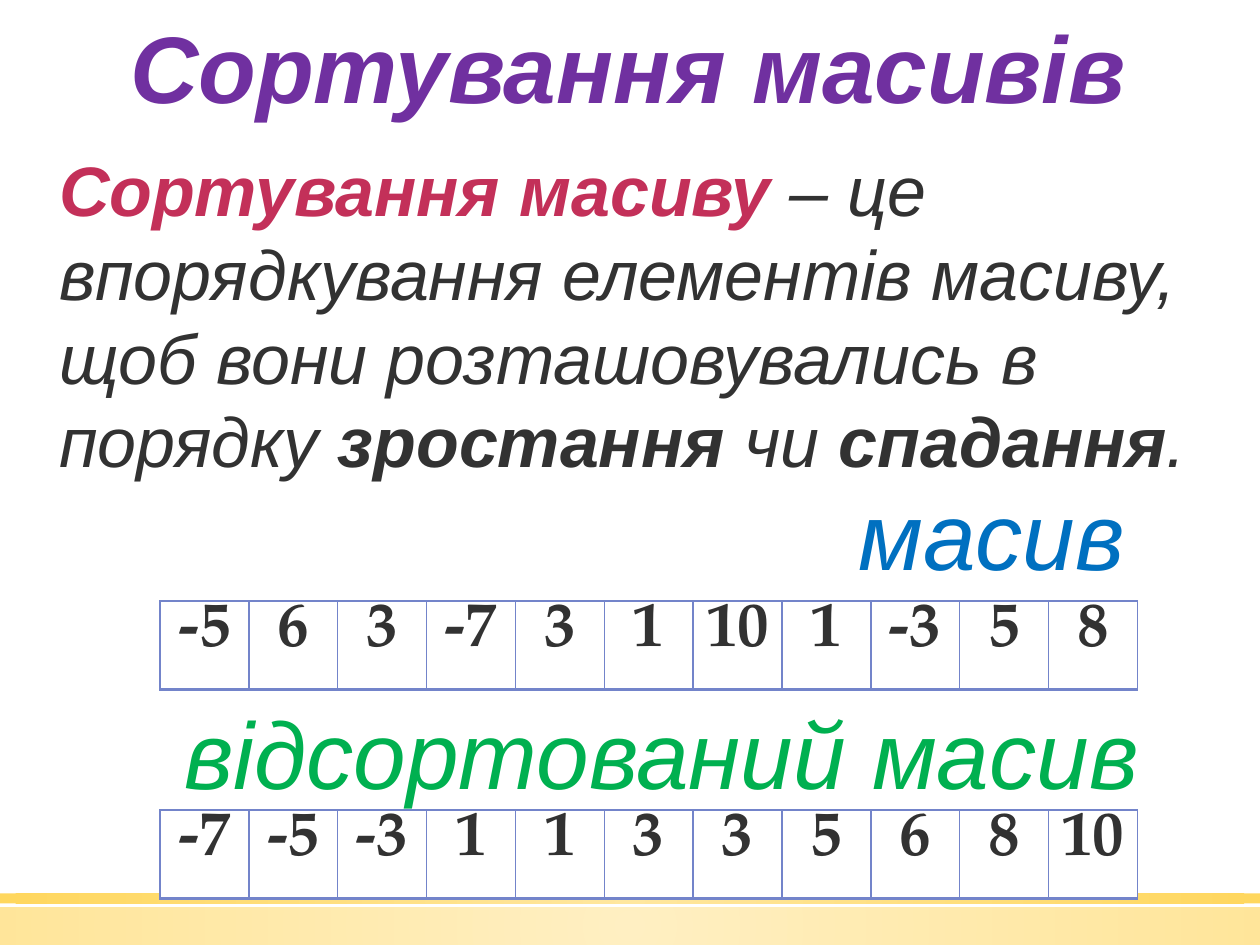
from lxml.etree import SubElement
from pptx import Presentation
from pptx.dml.color import RGBColor
from pptx.enum.shapes import MSO_SHAPE
from pptx.enum.text import MSO_ANCHOR, PP_ALIGN
from pptx.oxml import parse_xml
from pptx.oxml.ns import nsdecls, qn
from pptx.util import Inches, Pt

# Content
TITLE = "Сортування масивів"
DEFINITION = [
    ("Сортування масиву", "term", True),
    (" – це впорядкування елементів масиву, щоб вони розташовувались в порядку ", "ink", False),
    ("зростання ", "ink", True),
    ("чи ", "ink", False),
    ("спадання", "ink", True),
    (".", "ink", False),
]
VALUES = [-5, 6, 3, -7, 3, 1, 10, 1, -3, 5, 8]
# label, label colour, label box, values, table top
ARRAYS = [
    ("масив", "source", (6.7, 3.9, 2.34, 0.83), VALUES, 4.77),
    ("відсортований масив", "sorted", (1.27, 5.64, 7.96, 0.83), sorted(VALUES), 6.43),
]
# top, height, opacity in percent
BANDS = [(7.2, 0.3, 50), (7.09, 0.08, 80)]

THEME = {
    "colors": {"title": "7030A0", "term": "C33059", "ink": "323232", "source": "0070C0",
               "sorted": "00B050", "border": "7384CA", "cell": "FFFFFF"},
    "gradient": [(0, "FFE186"), (100, "FFCD36")],
    "sizes": {"heading": 54, "body": 40, "cell": 36},
    "fonts": {"text": "Arial", "cell": "TeX Gyre Pagella"},
}
TABLE_LEFT, TABLE_WIDTH, ROW_HEIGHT = 1.27, 7.76, 0.7
BORDERS = {"a:lnL": 1, "a:lnR": 1, "a:lnT": 1, "a:lnB": 2}


def add_run(paragraph, text, color, size, font="text", **style):
    run = paragraph.add_run()
    run.text = text
    run.font.color.rgb = RGBColor.from_string(THEME["colors"][color])
    formats = {"size": Pt(THEME["sizes"][size]), "name": THEME["fonts"][font], **style}
    for name, value in formats.items():
        setattr(run.font, name, value)


def add_text(slide, box, runs, size, align=PP_ALIGN.LEFT, spacing=None, wrap=True):
    frame = slide.shapes.add_textbox(*map(Inches, box)).text_frame
    frame.word_wrap = wrap
    paragraph = frame.paragraphs[0]
    paragraph.alignment = align
    paragraph.line_spacing = spacing
    for text, color, bold in runs:
        add_run(paragraph, text, color, size, bold=bold, italic=True)


def add_band(slide, top, height, opacity):
    band = slide.shapes.add_shape(MSO_SHAPE.RECTANGLE, 0, Inches(top), Inches(10), Inches(height))
    band.shadow.inherit = False
    band.line.fill.background()
    stops = "".join(
        f'<a:gs pos="{pos * 1000}"><a:srgbClr val="{color}">'
        f'<a:alpha val="{opacity * 1000}"/></a:srgbClr></a:gs>'
        for pos, color in THEME["gradient"])
    gradient = parse_xml(
        f'<a:gradFill {nsdecls("a")}><a:gsLst>{stops}</a:gsLst><a:path path="circle">'
        '<a:fillToRect l="50000" t="50000" r="50000" b="50000"/></a:path></a:gradFill>')
    band.element.spPr.find(qn("a:prstGeom")).addnext(gradient)


def add_borders(cell):
    properties = cell._tc.get_or_add_tcPr()
    for position, (side, width) in enumerate(BORDERS.items()):
        line = properties.makeelement(qn(side), {"w": str(Pt(width))})
        fill = SubElement(line, qn("a:solidFill"))
        SubElement(fill, qn("a:srgbClr"), val=THEME["colors"]["border"])
        properties.insert(position, line)


def add_array(slide, values, top):
    table = slide.shapes.add_table(
        1, len(values), Inches(TABLE_LEFT), Inches(top),
        Inches(TABLE_WIDTH), Inches(ROW_HEIGHT)).table
    table.first_row = table.horz_banding = False
    cell_format = {"margin_left": 0, "margin_right": 0, "margin_top": 0,
                   "margin_bottom": 0, "vertical_anchor": MSO_ANCHOR.TOP}
    for cell, value in zip(table.iter_cells(), values):
        for name, setting in cell_format.items():
            setattr(cell, name, setting)
        cell.fill.solid()
        cell.fill.fore_color.rgb = RGBColor.from_string(THEME["colors"]["cell"])
        add_borders(cell)
        paragraph = cell.text_frame.paragraphs[0]
        paragraph.alignment = PP_ALIGN.CENTER
        add_run(paragraph, str(value), "ink", "cell", "cell", bold=True)


def main():
    deck = Presentation()
    deck.slide_width, deck.slide_height = Inches(10), Inches(7.5)
    slide = deck.slides.add_slide(deck.slide_layouts[6])

    # Bottom bands
    for band in BANDS:
        add_band(slide, *band)

    # Title and definition
    add_text(slide, (0.1, 0.02, 9.77, 1.01), [(TITLE, "title", True)], "heading", PP_ALIGN.CENTER)
    add_text(slide, (0.37, 1.11, 9.51, 2.79), DEFINITION, "body")

    # Arrays with their labels
    for label, color, box, values, top in ARRAYS:
        add_array(slide, values, top)
        add_text(slide, box, [(label, color, False)], "heading", PP_ALIGN.CENTER, 0.8, wrap=False)

    deck.save("out.pptx")


if __name__ == "__main__":
    main()
